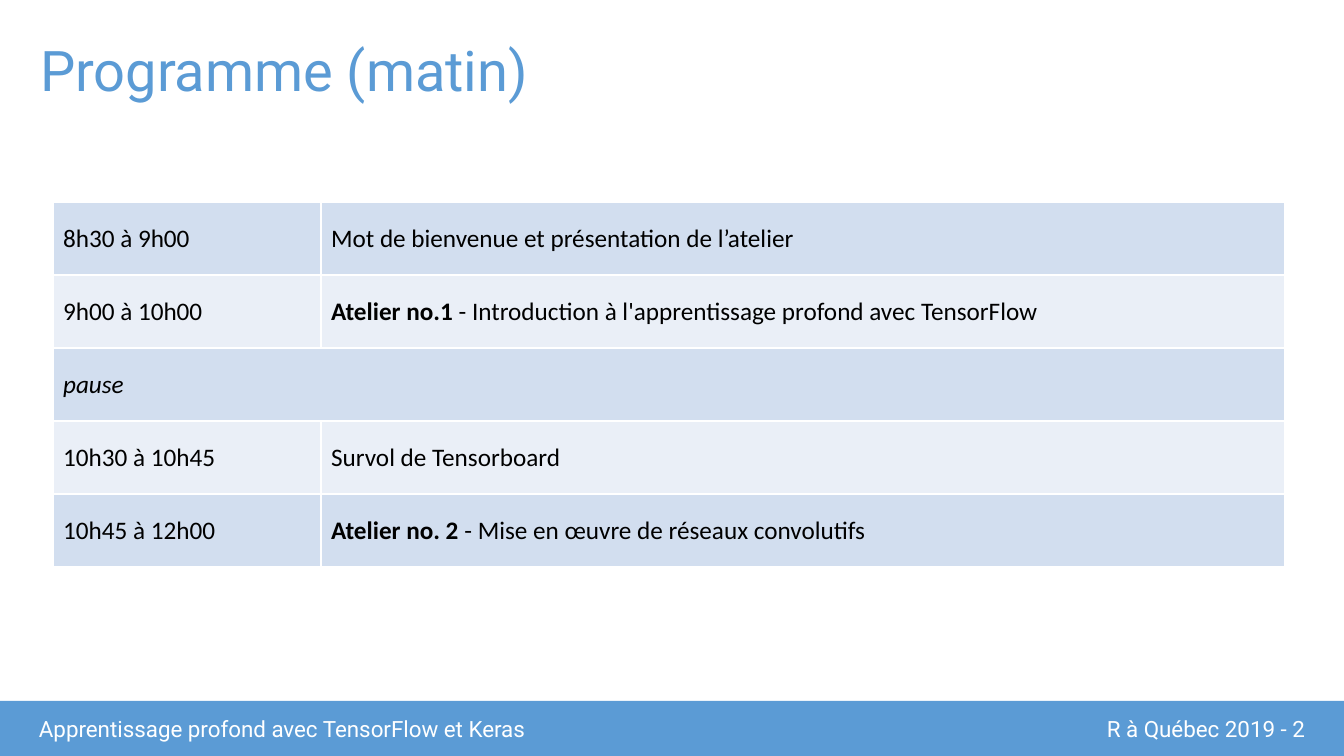
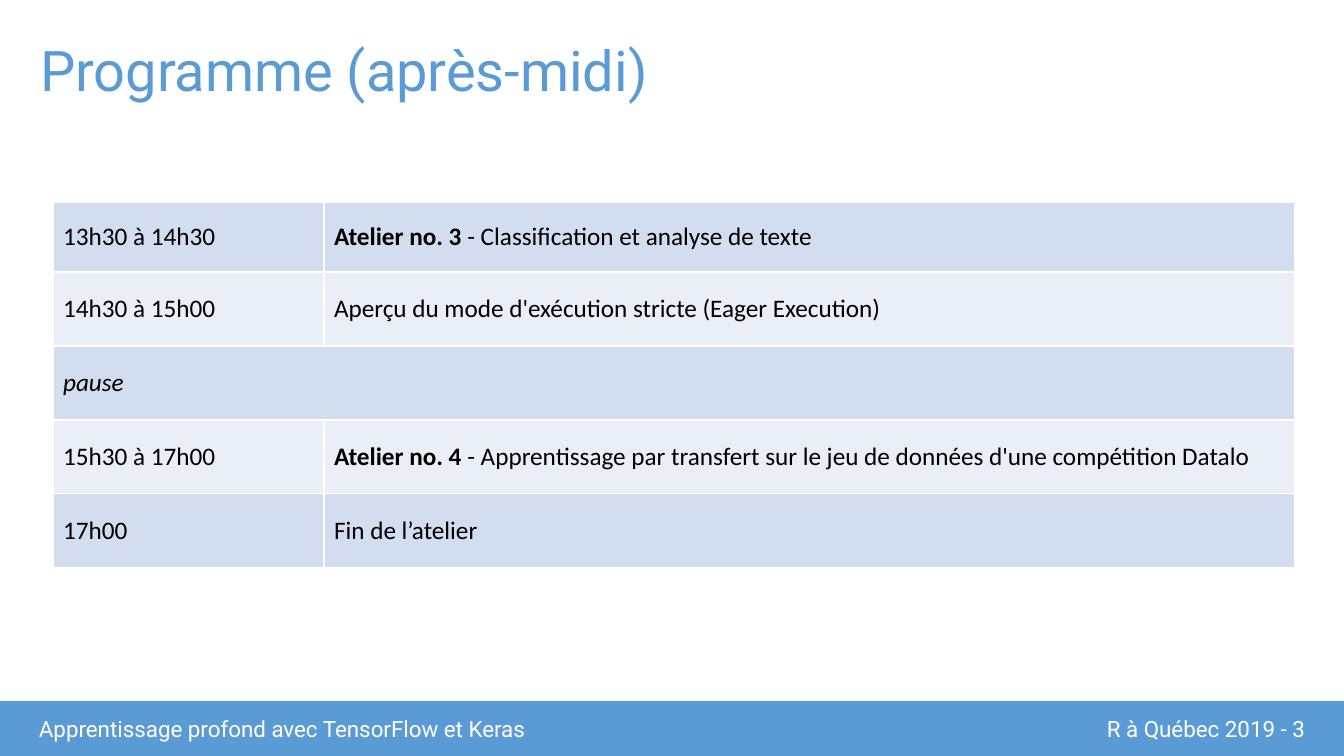
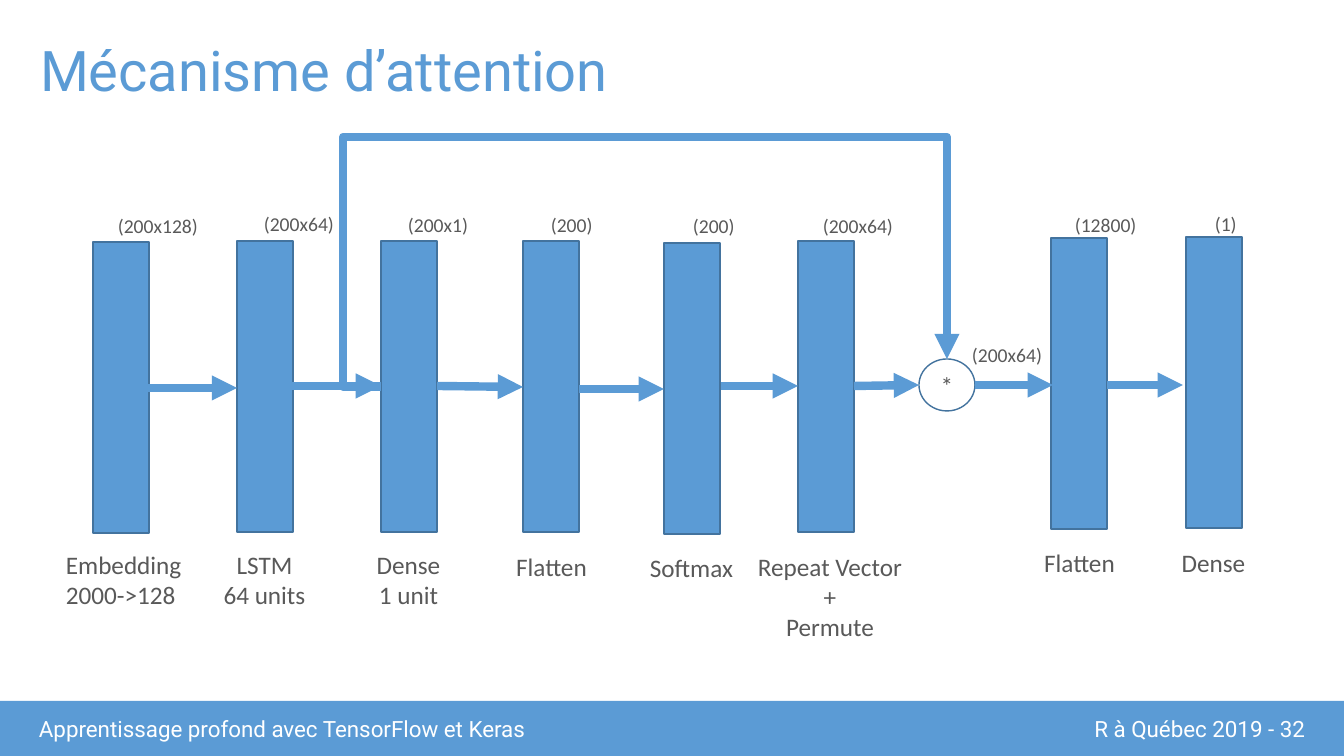
import pptx
import pptx.util
import pptx.dml.color
import pptx.enum.text
import pptx.enum.shapes
import pptx.oxml
import pptx.oxml.ns

# Shared style
PX = 914400 / 100.8
WIDTH, HEIGHT = 1344, 756
COLORS = {"blue": "5B9BD5", "outline": "43739E", "white": "FFFFFF", "black": "000000",
          "gray": "595959", "band_dark": "D2DEEF", "band_light": "EAEFF7"}
HEADING, BODY = "Roboto", "Calibri"
FOOTER = "Apprentissage profond avec TensorFlow et Keras"
EVENT = "R à Québec 2019"
ALIGN = pptx.enum.text.PP_ALIGN
MIDDLE = pptx.enum.text.MSO_ANCHOR.MIDDLE
SHAPE = pptx.enum.shapes.MSO_SHAPE
CONNECTOR = pptx.enum.shapes.MSO_CONNECTOR

# Timetables: (time, bold lead, subject); a row without subject spans both columns
TIMETABLES = [
    {"title": "Programme (matin)", "page": 2, "columns": [268, 964], "heights": [73] * 5,
     "rows": [
         ("8h30 à 9h00", "", "Mot de bienvenue et présentation de l’atelier"),
         ("9h00 à 10h00", "Atelier no.1 ",
          "- Introduction à l'apprentissage profond avec TensorFlow"),
         ("pause", "", ""),
         ("10h30 à 10h45", "", "Survol de Tensorboard"),
         ("10h45 à 12h00", "Atelier no. 2 ", "- Mise en œuvre de réseaux convolutifs")]},
    {"title": "Programme (après-midi)", "page": 3, "columns": [271, 971],
     "heights": [70] + [74] * 4,
     "rows": [
         ("13h30 à 14h30", "Atelier no. 3 ", "- Classification et analyse de texte"),
         ("14h30 à 15h00", "", "Aperçu du mode d'exécution stricte (Eager Execution)"),
         ("pause", "", ""),
         ("15h30 à 17h00", "Atelier no. 4 ",
          "- Apprentissage par transfert sur le jeu de données d'une compétition Datalo"),
         ("17h00", "", "Fin de l’atelier")]},
]
TABLE_LEFT, TABLE_TOP = 53, 202

# Layers: block (left, top), caption lines, caption (left, top, width), size, size (left, top)
LAYERS = [
    ((93, 242), ["Embedding", "2000->128"], (56, 544, 137), "(200x128)", (108, 209)),
    ((237, 241), ["LSTM", "64 units"], (213, 544, 103), "(200x64)", (254, 207)),
    ((381, 241), ["Dense", "1 unit"], (366, 544, 85), "(200x1)", (398, 208)),
    ((523, 241), ["Flatten"], (505, 546, 93), "(200)", (541, 208)),
    ((664, 243), ["Softmax"], (639, 547, 105), "(200)", (683, 209)),
    ((798, 241), ["Repeat Vector", "+", "Permute"], (747, 546, 166), "(200x64)", (813, 209)),
    ((1051, 238), ["Flatten"], (1033, 542, 93), "(12800)", (1065, 208)),
    ((1186, 237), ["Dense"], (1171, 542, 85), "(1)", (1205, 207)),
]
BLOCK_SIZE = (56, 291)
PRODUCT = (919, 359, 56, 52)
PRODUCT_SIZE = ("(200x64)", (962, 338))
ARROWS = [(148, 388, 237, 388), (292, 386, 381, 386), (437, 386, 523, 387),
          (579, 389, 664, 389), (721, 386, 798, 386), (854, 386, 919, 385),
          (975, 385, 1053, 385), (1107, 385, 1183, 385)]
SKIP_X, SKIP_Y = 343, 137  # corner of the attention path


def emu(*lengths):
    return [round(length * PX) for length in lengths]


def rgb(name):
    return pptx.dml.color.RGBColor.from_string(COLORS[name])


def style(paragraph, size, font, color, align=ALIGN.LEFT):
    paragraph.font.size = pptx.util.Pt(size)
    paragraph.font.name = font
    paragraph.font.color.rgb = rgb(color)
    paragraph.alignment = align


def add_text(slide, box, lines, size, font, color, align=ALIGN.LEFT, label=False):
    frame = slide.shapes.add_textbox(*emu(*box)).text_frame
    frame.word_wrap = not label
    if label:
        frame.auto_size = pptx.enum.text.MSO_AUTO_SIZE.SHAPE_TO_FIT_TEXT
    else:
        frame.vertical_anchor = MIDDLE
    frame.text = "\n".join(lines)
    for paragraph in frame.paragraphs:
        style(paragraph, size, font, color, align)
    return frame


def add_box(slide, kind, box, fill, outline=None):
    shape = slide.shapes.add_shape(kind, *emu(*box))
    shape.shadow.inherit = False
    shape.fill.solid()
    shape.fill.fore_color.rgb = rgb(fill)
    if outline:
        shape.line.color.rgb = rgb(outline)
        shape.line.width = pptx.util.Pt(1)
    else:
        shape.line.fill.background()
    return shape


def add_arrow(slide, kind, ends):
    arrow = slide.shapes.add_connector(kind, *emu(*ends))
    arrow.line.color.rgb = rgb("blue")
    arrow.line.width = pptx.util.Pt(6)
    properties = arrow._element.spPr
    head = pptx.oxml.ns.qn("a:tailEnd")
    arrow.line._get_or_add_ln().append(properties.makeelement(head, {"type": "triangle"}))
    properties.append(properties.makeelement(pptx.oxml.ns.qn("a:effectLst"), {}))
    return arrow


def add_page(deck, title, page):
    slide = deck.slides.add_slide(deck.slide_layouts[6])
    add_box(slide, SHAPE.RECTANGLE, (0, 701, WIDTH, 55), "blue")
    heading = add_text(slide, (0, 0, WIDTH, 146), [title], 40, HEADING, "blue")
    heading.margin_left = emu(40)[0]
    heading.paragraphs[0].line_spacing = 0.9
    add_text(slide, (29, 701, 550, 55), [FOOTER], 16, HEADING, "white")
    add_text(slide, (1013, 709, 302, 40), [f"{EVENT} - {page}"], 16, HEADING, "white",
             ALIGN.RIGHT)
    return slide


def format_cell(cell, fill):
    properties = cell._tc.get_or_add_tcPr()
    for side in ("lnL", "lnR", "lnT", "lnB"):
        properties.append(pptx.oxml.parse_xml(
            f'<a:{side} {pptx.oxml.ns.nsdecls("a")} w="12700"><a:solidFill>'
            f'<a:srgbClr val="{COLORS["white"]}"/></a:solidFill></a:{side}>'))
    cell.fill.solid()
    cell.fill.fore_color.rgb = rgb(fill)
    cell.vertical_anchor = MIDDLE
    style(cell.text_frame.paragraphs[0], 18, BODY, "black")


def add_timetable(deck, timetable):
    slide = add_page(deck, timetable["title"], timetable["page"])
    columns, heights, rows = timetable["columns"], timetable["heights"], timetable["rows"]
    table = slide.shapes.add_table(
        len(rows), len(columns),
        *emu(TABLE_LEFT, TABLE_TOP, sum(columns), sum(heights))).table
    table.first_row = table.horz_banding = False
    for column, width in zip(table.columns, emu(*columns)):
        column.width = width
    for index, (time, lead, subject) in enumerate(rows):
        table.rows[index].height = emu(heights[index])[0]
        time_cell, subject_cell = table.cell(index, 0), table.cell(index, 1)
        for cell in (time_cell, subject_cell):
            format_cell(cell, "band_light" if index % 2 else "band_dark")
        time_line = time_cell.text_frame.paragraphs[0]
        time_line.add_run().text = time
        if not subject:
            time_line.font.italic = True
            time_cell.merge(subject_cell)
            continue
        subject_line = subject_cell.text_frame.paragraphs[0]
        if lead:
            lead_run = subject_line.add_run()
            lead_run.text = lead
            lead_run.font.bold = True
        subject_line.add_run().text = subject


def add_size(slide, size, position):
    add_text(slide, (*position, 12 + 10 * len(size), 34), [size], 14, BODY, "gray", label=True)


def add_skip_path(slide, source, target):
    """Arrow that leaves the source's left side, passes above and enters the target's top."""
    path = add_arrow(slide, CONNECTOR.ELBOW, (381, 386, 947, 359))
    path.begin_connect(source, 1)
    path.end_connect(target, 0)
    corner_x, corner_y = emu(SKIP_X, SKIP_Y)
    ratios = ((corner_x - path.begin_x) / path.width,
              (path.begin_y - corner_y) / path.height)
    properties = path._element.spPr
    frame = properties.find(pptx.oxml.ns.qn("a:xfrm"))
    frame.attrib.pop("flipV", None)
    frame.set("rot", "10800000")
    frame.set("flipH", "1")
    geometry = properties.find(pptx.oxml.ns.qn("a:prstGeom"))
    geometry.set("prst", "bentConnector4")
    guides = geometry.find(pptx.oxml.ns.qn("a:avLst"))
    if guides is None:
        guides = geometry.makeelement(pptx.oxml.ns.qn("a:avLst"), {})
        geometry.append(guides)
    for number, ratio in enumerate(ratios, 1):
        guides.append(guides.makeelement(
            pptx.oxml.ns.qn("a:gd"),
            {"name": f"adj{number}", "fmla": f"val {round(ratio * 100000)}"}))


def add_attention(deck):
    slide = add_page(deck, "Mécanisme d’attention", 32)
    # Layers with caption and output size
    blocks = []
    for corner, caption, (left, top, width), size, size_position in LAYERS:
        blocks.append(add_box(slide, SHAPE.RECTANGLE, (*corner, *BLOCK_SIZE), "blue", "outline"))
        add_text(slide, (left, top, width, 10 + 31 * len(caption)), caption, 18, BODY, "gray",
                 ALIGN.CENTER if blocks[1:] else ALIGN.LEFT, label=True)
        add_size(slide, size, size_position)
    # Product of attention weights and sequence
    product = add_box(slide, SHAPE.OVAL, PRODUCT, "white", "outline")
    product.text_frame.text = "*"
    product.text_frame.vertical_anchor = MIDDLE
    style(product.text_frame.paragraphs[0], 18, BODY, "gray", ALIGN.CENTER)
    add_size(slide, *PRODUCT_SIZE)
    # Data flow
    for ends in ARROWS:
        add_arrow(slide, CONNECTOR.STRAIGHT, ends)
    add_skip_path(slide, blocks[2], product)


def main():
    deck = pptx.Presentation()
    deck.slide_width, deck.slide_height = emu(WIDTH, HEIGHT)
    for timetable in TIMETABLES:
        add_timetable(deck, timetable)
    add_attention(deck)
    deck.save("out.pptx")


if __name__ == "__main__":
    main()
